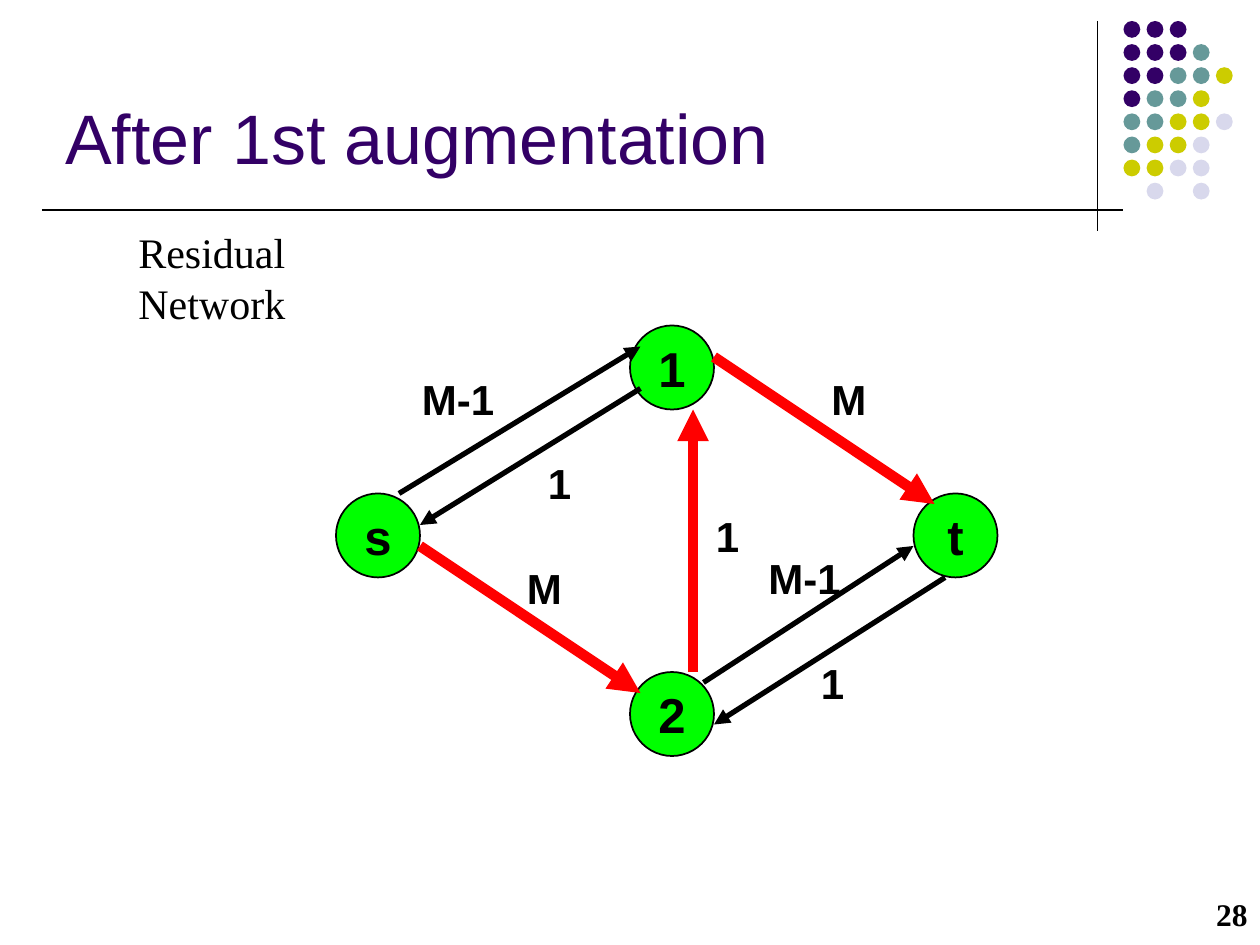
from lxml import etree
from pptx import Presentation
from pptx import util as u
from pptx.dml.color import RGBColor
from pptx.enum import shapes, text
from pptx.oxml import ns

BLACK = RGBColor(0x00, 0x00, 0x00)
RED = RGBColor(0xFF, 0x00, 0x00)
GREEN = RGBColor(0x00, 0xFF, 0x00)
PURPLE = RGBColor(0x33, 0x00, 0x66)
TEAL = RGBColor(0x66, 0x99, 0x99)
OLIVE = RGBColor(0xCC, 0xCC, 0x00)
PALE = RGBColor(0xD8, 0xD8, 0xEC)

# The slide is a grid of 120 columns by 90 rows
COLS, ROWS = 120, 90
CELL = u.Inches(10) / COLS
NODE_SIZE = 8
DOT_SIZE, DOT_PITCH = 1.6, 2.2

DOT_COLORS = {"P": PURPLE, "T": TEAL, "O": OLIVE, "L": PALE}
DOT_ROWS = ["PPP", "PPPT", "PPTTO", "PTTO", "TTOOL", "TOOL", "OOLL", " L L"]

NODES = [("s", 32, 47), ("1", 60, 31), ("2", 60, 64), ("t", 87, 47)]
# Start and end of each edge
PLAIN_EDGES = [
    ((38, 47), (61, 33)), ((61, 37), (40, 50)),
    ((67, 65), (87, 52)), ((90, 55), (68, 69)),
]
PATH_EDGES = [((68, 34), (89, 48)), ((40, 52), (61, 66)), ((66, 64), (66, 39))]
# Capacity, column, row, width
LABELS = [
    ("M-1", 39, 35, 13), ("M", 78, 35, 13), ("M-1", 72, 52, 12),
    ("M", 49, 53, 7), ("1", 67, 48, 7), ("1", 51, 43, 7), ("1", 77, 62, 7),
]


def cells(*values):
    return [u.Emu(round(v * CELL)) for v in values]


def write(tf, words, size, color=BLACK, font="Arial", bold=False,
          align=text.PP_ALIGN.LEFT):
    p = tf.paragraphs[0]
    p.alignment = align
    r = p.add_run()
    r.text = words
    r.font.name, r.font.size, r.font.bold = font, u.Pt(size), bold
    r.font.color.rgb = color


def add_label(slide, words, box, size=24, wrap=True, anchor=text.MSO_ANCHOR.TOP,
              **style):
    tf = slide.shapes.add_textbox(*cells(*box)).text_frame
    tf.word_wrap = wrap
    tf.vertical_anchor = anchor
    write(tf, words, size, **style)


def add_circle(slide, col, row, size, fill):
    sp = slide.shapes.add_shape(shapes.MSO_SHAPE.OVAL,
                                *cells(col, row, size, size))
    sp.shadow.inherit = False
    sp.fill.solid()
    sp.fill.fore_color.rgb = fill
    sp.line.fill.background()
    return sp


def add_node(slide, name, col, row):
    sp = add_circle(slide, col, row, NODE_SIZE, GREEN)
    sp.line.color.rgb = BLACK
    sp.line.width = u.Pt(1)
    tf = sp.text_frame
    tf.word_wrap = False
    tf.vertical_anchor = text.MSO_ANCHOR.MIDDLE
    write(tf, name, 28, bold=True, align=text.PP_ALIGN.CENTER)


def add_line(slide, start, end, width=0.75, color=BLACK, arrow=False):
    line = slide.shapes.add_connector(shapes.MSO_CONNECTOR.STRAIGHT,
                                      *cells(*start, *end))
    line.line.width = u.Pt(width)
    line.line.color.rgb = color
    if arrow:
        etree.SubElement(line.line._get_or_add_ln(), ns.qn("a:tailEnd"),
                         type="triangle")
    etree.SubElement(line._element.spPr, ns.qn("a:effectLst"))


def add_decoration(slide):
    add_line(slide, (104.5, 2), (104.5, 22))
    add_line(slide, (4, 20), (107, 20))
    for j, codes in enumerate(DOT_ROWS):
        for i, code in enumerate(codes):
            if code in DOT_COLORS:
                add_circle(slide, 107 + i * DOT_PITCH, 2 + j * DOT_PITCH,
                           DOT_SIZE, DOT_COLORS[code])


def add_title(slide, words):
    sp = slide.shapes.title
    sp.left, sp.top, sp.width, sp.height = cells(5, 9, 95.4, 8.6)
    tf = sp.text_frame
    tf.auto_size = text.MSO_AUTO_SIZE.NONE
    tf.vertical_anchor = text.MSO_ANCHOR.BOTTOM
    write(tf, words, 40, PURPLE)


def add_network(slide):
    for node in NODES:
        add_node(slide, *node)
    for start, end in PLAIN_EDGES:
        add_line(slide, start, end, 3, arrow=True)
    for words, col, row, width in LABELS:
        add_label(slide, words, (col, row, width, 6), bold=True)
    for start, end in PATH_EDGES:
        add_line(slide, start, end, 6, RED, arrow=True)


def main():
    prs = Presentation()
    prs.slide_width, prs.slide_height = cells(COLS, ROWS)
    slide = prs.slides.add_slide(prs.slide_layouts[5])

    # Frame of the page
    add_decoration(slide)
    add_label(slide, "28", (97, 84, 23, 6), 18, wrap=False,
              anchor=text.MSO_ANCHOR.MIDDLE, font="Times New Roman",
              bold=True, align=text.PP_ALIGN.RIGHT)

    # Content
    add_title(slide, "After 1st augmentation")
    add_network(slide)
    add_label(slide, "Residual Network", (12, 21, 31.3, 6), wrap=False,
              font="Times New Roman")

    prs.save("out.pptx")


if __name__ == "__main__":
    main()
